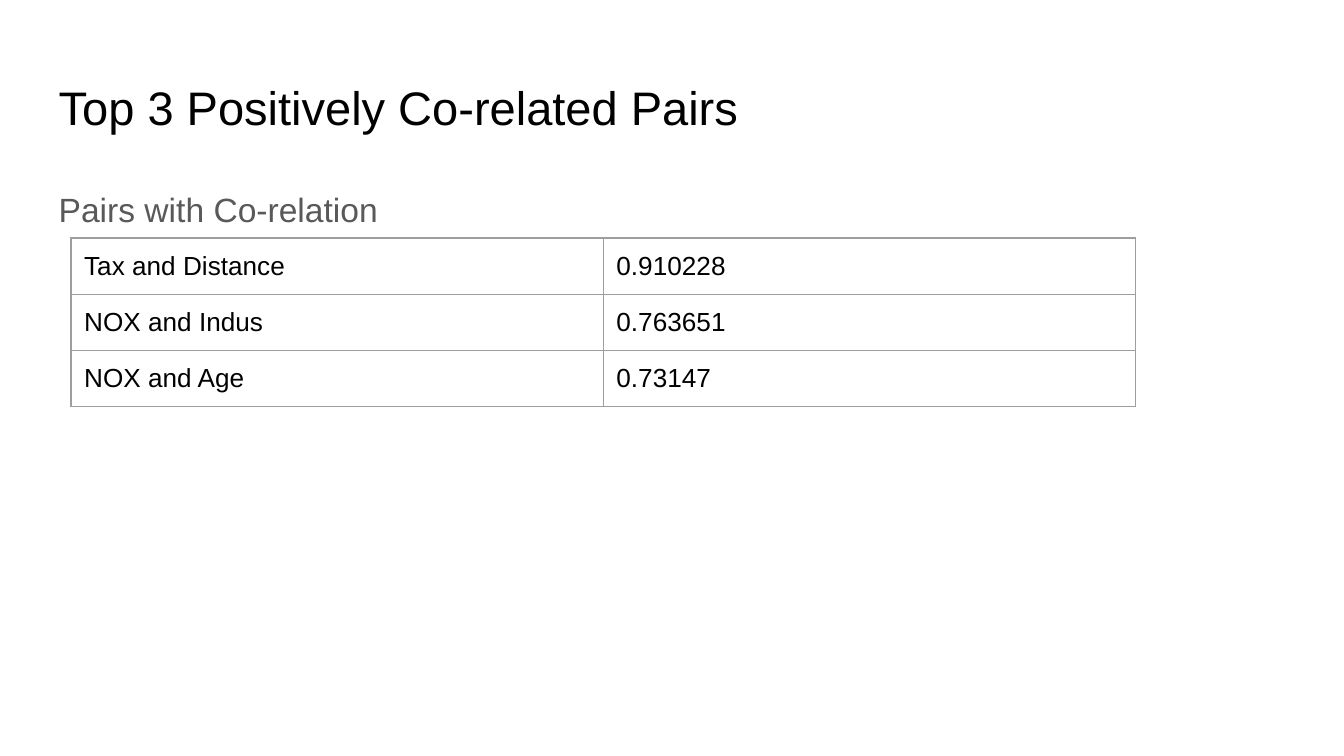
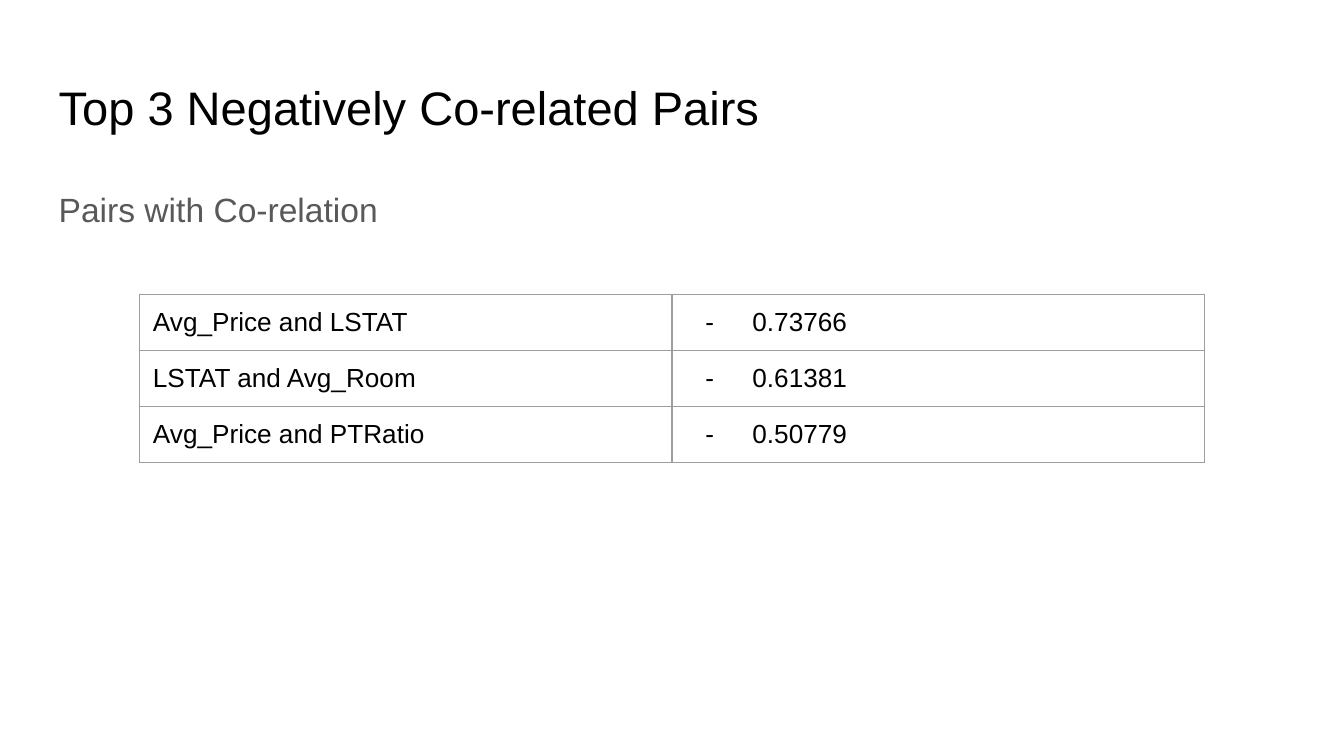
from dataclasses import dataclass
from typing import Any

from lxml.etree import SubElement
from pptx import Presentation
from pptx.dml.color import RGBColor as Rgb
from pptx.enum.text import MSO_ANCHOR as Anchor, MSO_AUTO_SIZE as AutoSize, PP_ALIGN as Align
from pptx.oxml.ns import qn
from pptx.util import Cm, Pt


@dataclass(frozen=True)
class Theme:
    """Colours, type sizes and shared measures of the deck."""
    font: str = "Arial"
    ink: str = "000000"
    muted: str = "595959"
    rule: str = "9E9E9E"
    title_size: float = 25.2
    heading_size: float = 18
    cell_size: float = 14
    rule_width: float = 0.75
    inset: float = 0.25
    left: float = 0.86
    width: float = 23.67
    column: float = 10.06
    row: float = 1.06


@dataclass(frozen=True)
class PairSlide:
    """One ranking of pairs; left and top place its table, in cm."""
    title: str
    pairs: tuple[tuple[str, str], ...]
    left: float
    top: float
    dashed: bool = False
    heading: str = "Pairs with Co-relation"
    heading_gap: float = 0


THEME = Theme()
MARGINS = {f"margin_{side}": Cm(THEME.inset) for side in ("left", "right", "top", "bottom")}
FRAME = MARGINS | {"word_wrap": True, "auto_size": AutoSize.NONE, "vertical_anchor": Anchor.TOP}

RANKINGS = (
    PairSlide("Top 3 Positively Co-related Pairs",
              (("Tax and Distance", "0.910228"),
               ("NOX and Indus", "0.763651"),
               ("NOX and Age", "0.73147")),
              left=1.34, top=4.5, heading_gap=12),
    PairSlide("Top 3 Negatively Co-related Pairs",
              (("Avg_Price and LSTAT", "0.73766"),
               ("LSTAT and Avg_Room", "0.61381"),
               ("Avg_Price and PTRatio", "0.50779")),
              left=2.64, top=5.56, dashed=True),
)


def apply(target: Any, values: dict[str, Any]) -> None:
    """Set each named attribute on the target."""
    for name, value in values.items():
        setattr(target, name, value)


def write(frame: Any, text: str, size: float, colour: str, **layout: Any) -> Any:
    """Write one styled paragraph and return it."""
    paragraph = frame.paragraphs[0]
    apply(paragraph, {"alignment": Align.LEFT} | layout)
    run = paragraph.add_run()
    run.text = text
    apply(run.font, {"name": THEME.font, "size": Pt(size), "bold": False})
    run.font.color.rgb = Rgb.from_string(colour)
    return paragraph


def add_solid(parent: Any, colour: str) -> None:
    fill = SubElement(parent, qn("a:solidFill"))
    SubElement(fill, qn("a:srgbClr"), val=colour)


def add_dash(paragraph: Any) -> None:
    """Give the paragraph a hanging dash bullet."""
    props = paragraph._p.get_or_add_pPr()
    props.set("marL", str(Cm(1.27)))
    props.set("indent", str(Cm(-0.89)))
    colour = SubElement(props, qn("a:buClr"))
    SubElement(colour, qn("a:srgbClr"), val=THEME.ink)
    SubElement(props, qn("a:buFont"), typeface=THEME.font)
    SubElement(props, qn("a:buChar"), char="-")


def add_borders(cell: Any) -> None:
    props = cell._tc.get_or_add_tcPr()
    for edge in ("lnL", "lnR", "lnT", "lnB"):
        line = SubElement(props, qn(f"a:{edge}"), w=str(Pt(THEME.rule_width)))
        add_solid(line, THEME.rule)


def add_pairs(slide: Any, ranking: PairSlide) -> None:
    """Draw the table of pairs and their values."""
    rows = len(ranking.pairs)
    table = slide.shapes.add_table(
        rows, 2, Cm(ranking.left), Cm(ranking.top),
        Cm(2 * THEME.column), Cm(rows * THEME.row)).table
    apply(table, {"first_row": False, "horz_banding": False})
    for column in table.columns:
        column.width = Cm(THEME.column)
    for r, pair in enumerate(ranking.pairs):
        table.rows[r].height = Cm(THEME.row)
        for c, text in enumerate(pair):
            cell = table.cell(r, c)
            apply(cell, MARGINS)
            add_borders(cell)
            cell.fill.background()
            paragraph = write(cell.text_frame, text, THEME.cell_size, THEME.ink)
            if ranking.dashed and c == 1:
                add_dash(paragraph)


def add_ranking(deck: Any, ranking: PairSlide) -> None:
    slide = deck.slides.add_slide(deck.slide_layouts[5])

    # Title
    title = slide.shapes.title
    apply(title, {"left": Cm(THEME.left), "top": Cm(1.24),
                  "width": Cm(THEME.width), "height": Cm(1.6)})
    apply(title.text_frame, FRAME)
    write(title.text_frame, ranking.title, THEME.title_size, THEME.ink)

    # Heading above the table
    heading = slide.shapes.add_textbox(
        Cm(THEME.left), Cm(3.2), Cm(THEME.width), Cm(9.5)).text_frame
    apply(heading, FRAME)
    write(heading, ranking.heading, THEME.heading_size, THEME.muted,
          line_spacing=1.15, space_after=Pt(ranking.heading_gap))

    add_pairs(slide, ranking)


deck = Presentation()
apply(deck, {"slide_width": Cm(25.4), "slide_height": Cm(14.29)})
for ranking in RANKINGS:
    add_ranking(deck, ranking)
deck.save("out.pptx")
